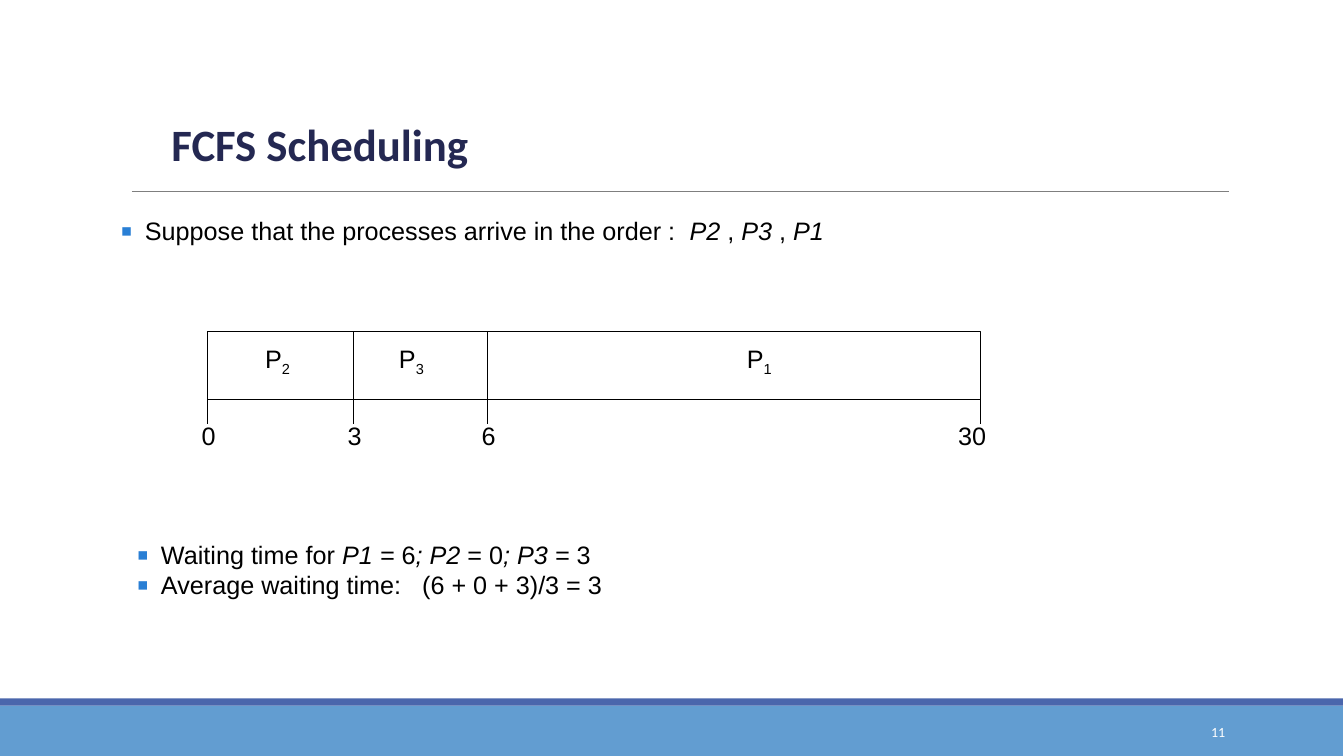
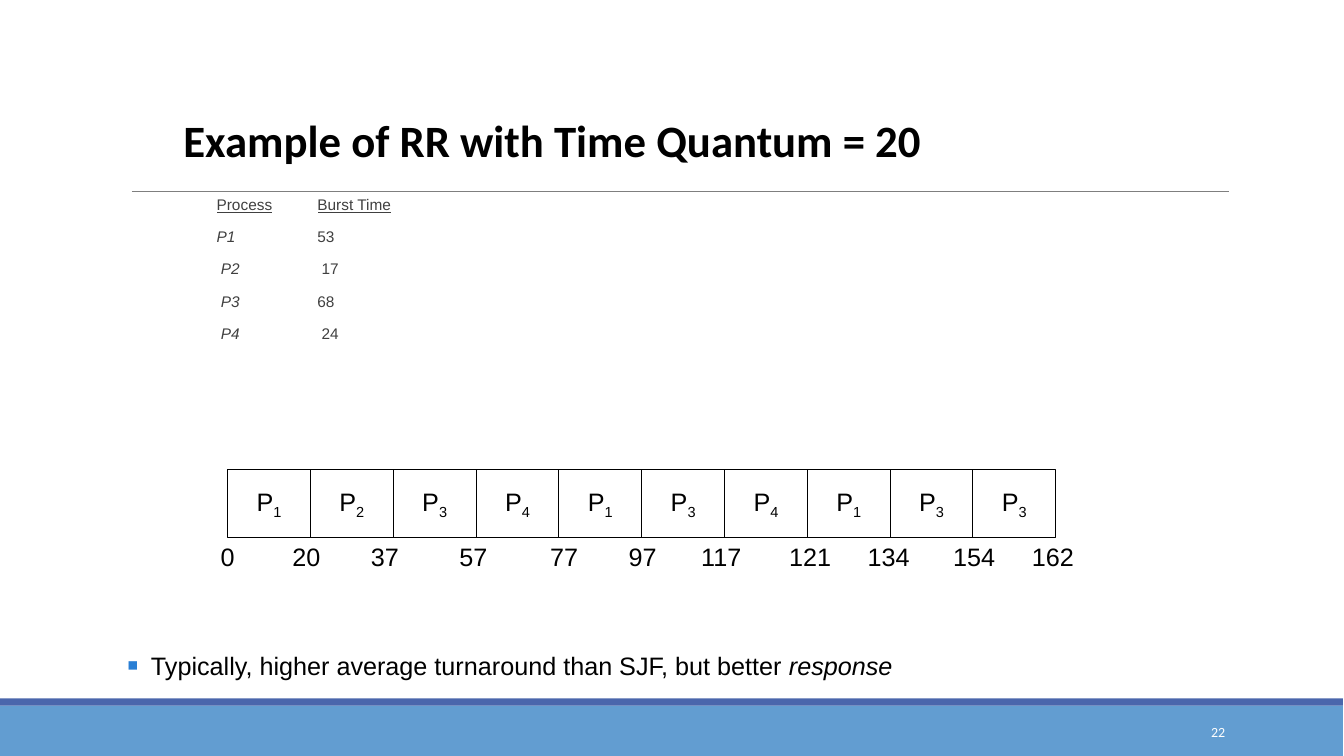
from dataclasses import dataclass

from lxml import etree
from pptx import Presentation
from pptx.dml.color import RGBColor
from pptx.enum.shapes import MSO_CONNECTOR, MSO_SHAPE
from pptx.enum.text import MSO_ANCHOR, MSO_AUTO_SIZE, PP_ALIGN
from pptx.oxml.ns import qn
from pptx.util import Inches, Pt

RECTANGLE = MSO_SHAPE.RECTANGLE
STRAIGHT = MSO_CONNECTOR.STRAIGHT
TOP, MIDDLE, BOTTOM = MSO_ANCHOR.TOP, MSO_ANCHOR.MIDDLE, MSO_ANCHOR.BOTTOM
LEFT, CENTER, RIGHT = PP_ALIGN.LEFT, PP_ALIGN.CENTER, PP_ALIGN.RIGHT
NO_AUTOFIT = MSO_AUTO_SIZE.NONE
TITLE_ONLY = 5


@dataclass(frozen=True)
class Theme:
    navy: str = "242852"
    black: str = "000000"
    grey: str = "404040"
    white: str = "FFFFFF"
    rule: str = "7F7F7F"
    band: str = "629DD1"
    band_edge: str = "4A66AC"
    bullet: str = "297FD5"
    heading_font: str = "Calibri"
    body_font: str = "Arial"
    title_size: int = 32
    body_size: int = 18
    table_size: int = 11
    number_size: int = 10


class Deck:
    def __init__(self, theme):
        self.theme = theme
        self.prs = Presentation()
        self.prs.slide_width = Inches(13.34)
        self.prs.slide_height = Inches(7.5)
        self.slide = None

    # Text
    def add_runs(self, paragraph, runs, size=None, color=None, font=None):
        """Each run is a plain string or a (text, style) pair."""
        for run_spec in runs:
            text, style = (run_spec, "") if isinstance(run_spec, str) else run_spec
            run = paragraph.add_run()
            run.text = text
            run.font.name = font or self.theme.body_font
            run.font.size = Pt(size or self.theme.body_size)
            run.font.color.rgb = RGBColor.from_string(color or self.theme.black)
            run.font.bold = style == "bold"
            run.font.italic = style == "italic"
            run.font.underline = style == "underline"
            if style == "sub":
                run.font._element.set("baseline", "-25000")

    def text_box(self, left, top, width, height, anchor=TOP, align=LEFT):
        box = self.slide.shapes.add_textbox(
            Inches(left), Inches(top), Inches(width), Inches(height))
        frame = box.text_frame
        frame.word_wrap = True
        frame.vertical_anchor = anchor
        frame.paragraphs[0].alignment = align
        return frame

    def bullets(self, left, top, width, height, lines):
        frame = self.text_box(left, top, width, height)
        for index, runs in enumerate(lines):
            paragraph = frame.add_paragraph() if index else frame.paragraphs[0]
            props = paragraph._p.get_or_add_pPr()
            props.set("marL", str(Inches(0.24)))
            props.set("indent", str(-Inches(0.24)))
            color = etree.SubElement(props, qn("a:buClr"))
            etree.SubElement(color, qn("a:srgbClr"), val=self.theme.bullet)
            etree.SubElement(props, qn("a:buSzPct"), val="135000")
            etree.SubElement(props, qn("a:buFont"), typeface=self.theme.body_font)
            etree.SubElement(props, qn("a:buChar"), char="▪")
            self.add_runs(paragraph, runs)

    # Shapes and lines
    def rectangle(self, left, top, width, height, fill, line=None):
        shape = self.slide.shapes.add_shape(
            RECTANGLE, Inches(left), Inches(top), Inches(width), Inches(height))
        shape.shadow.inherit = False
        shape.fill.solid()
        shape.fill.fore_color.rgb = RGBColor.from_string(fill)
        if line:
            shape.line.color.rgb = RGBColor.from_string(line)
            shape.line.width = Pt(0.75)
        else:
            shape.line.fill.background()
        return shape

    def line(self, x1, y1, x2, y2, color, width):
        connector = self.slide.shapes.add_connector(
            STRAIGHT, Inches(x1), Inches(y1), Inches(x2), Inches(y2))
        connector.line.color.rgb = RGBColor.from_string(color)
        connector.line.width = Pt(width)
        etree.SubElement(connector._element.spPr, qn("a:effectLst"))

    # Slide frame: bands, rule, title and number
    def new_slide(self, title, left, top, width, height, color, number):
        theme = self.theme
        self.slide = self.prs.slides.add_slide(self.prs.slide_layouts[TITLE_ONLY])
        self.rectangle(0, 7, 13.33, 0.5, theme.band)
        self.rectangle(0, 6.93, 13.33, 0.07, theme.band_edge)
        self.line(1.31, 1.9, 12.2, 1.9, theme.rule, 0.5)

        heading = self.slide.shapes.title
        heading.left, heading.top = Inches(left), Inches(top)
        heading.width, heading.height = Inches(width), Inches(height)
        frame = heading.text_frame
        frame.auto_size = NO_AUTOFIT
        frame.vertical_anchor = BOTTOM
        paragraph = frame.paragraphs[0]
        paragraph.alignment = LEFT
        paragraph.line_spacing = 0.85
        self.add_runs(paragraph, [(title, "bold")], theme.title_size, color,
                      theme.heading_font)

        footer = self.text_box(10.83, 7.06, 1.43, 0.4, MIDDLE, RIGHT)
        self.add_runs(footer.paragraphs[0], [number], theme.number_size,
                      theme.white, theme.heading_font)

    # Gantt chart
    def gantt(self, top, processes, edges, times, time_centers, times_top,
              stem=0, shifts=None, lift=0):
        """Shifts move labels sideways from the cell centres, lift moves them up."""
        theme, height = self.theme, 0.67
        shifts = shifts or [0] * len(processes)
        for process, left, right, shift in zip(processes, edges, edges[1:], shifts):
            cell = self.rectangle(left, top, right - left, height,
                                  theme.white, theme.black)
            frame = cell.text_frame
            frame.vertical_anchor = MIDDLE
            frame.margin_left = Inches(0.1 + max(2 * shift, 0))
            frame.margin_right = Inches(0.1 + max(-2 * shift, 0))
            frame.margin_bottom = Inches(0.05 + 2 * lift)
            frame.paragraphs[0].alignment = CENTER
            self.add_runs(frame.paragraphs[0], ["P", (process, "sub")])
        if stem:
            for x in edges:
                self.line(x, top + height, x, top + height + stem, theme.black, 0.75)
        label_width = 0.7
        for time, center in zip(times, time_centers):
            frame = self.text_box(center - label_width / 2, times_top,
                                  label_width, 0.4, MIDDLE, CENTER)
            self.add_runs(frame.paragraphs[0], [time])

    # Table without fills
    def table(self, left, top, column_width, row_height, rows):
        columns = len(rows[0])
        grid = self.slide.shapes.add_table(
            len(rows), columns, Inches(left), Inches(top),
            Inches(column_width * columns), Inches(row_height * len(rows))).table
        grid.first_row = grid.horz_banding = False
        for r, row in enumerate(rows):
            for c, run_spec in enumerate(row):
                cell = grid.cell(r, c)
                cell.fill.background()
                cell.vertical_anchor = TOP
                cell.margin_left = cell.margin_right = 0
                cell.margin_top = cell.margin_bottom = 0
                self.add_runs(cell.text_frame.paragraphs[0], [run_spec],
                              self.theme.table_size, self.theme.grey)


def fcfs_slide(deck):
    deck.new_slide("FCFS Scheduling", 1.6, 1.07, 11.13, 0.67,
                   deck.theme.navy, "11")
    deck.gantt(3.29, "231", [2.06, 3.51, 4.84, 9.73],
               ["0", "3", "6", "30"], [2.07, 3.52, 4.85, 9.65], 4.12,
               stem=0.25, shifts=[-0.03, -0.09, 0.25], lift=0.05)
    deck.bullets(1.1, 2.09, 8.79, 0.71, [
        ["Suppose that the processes arrive in the order :  ", ("P2", "italic"),
         " , ", ("P3", "italic"), " , ", ("P1", "italic")],
    ])
    deck.bullets(1.26, 5.3, 6.67, 1, [
        ["Waiting time for ", ("P1 =", "italic"), " 6", ("; P2", "italic"),
         " = 0", ("; P3 = ", "italic"), "3"],
        ["Average waiting time:   (6 + 0 + 3)/3 = 3"],
    ])


def round_robin_slide(deck):
    deck.new_slide("Example of RR with Time Quantum = 20", 1.72, 0.97, 10.93, 0.73,
                   deck.theme.black, "22")
    deck.table(2.15, 1.95, 1, 0.32, [
        [("Process", "underline"), ("Burst Time", "underline")],
        [("P1", "italic"), "53"],
        [(" P2", "italic"), " 17"],
        [(" P3", "italic"), "68"],
        [(" P4", "italic"), " 24"],
    ])
    processes = "1234134133"
    cell_width = 8.22 / len(processes)
    edges = [2.26 + cell_width * i for i in range(len(processes) + 1)]
    times = ["0", "20", "37", "57", "77", "97", "117", "121", "134", "154", "162"]
    time_centers = [2.26, 3.04, 3.82, 4.7, 5.6, 6.38, 7.16, 8.04, 8.82, 9.67, 10.45]
    deck.gantt(4.66, processes, edges, times, time_centers, 5.32)
    deck.bullets(1.16, 6.4, 10.85, 0.4, [
        ["Typically, higher average turnaround than SJF, but better ",
         ("response", "italic")],
    ])


def main():
    deck = Deck(Theme())
    fcfs_slide(deck)
    round_robin_slide(deck)
    deck.prs.save("out.pptx")


if __name__ == "__main__":
    main()
